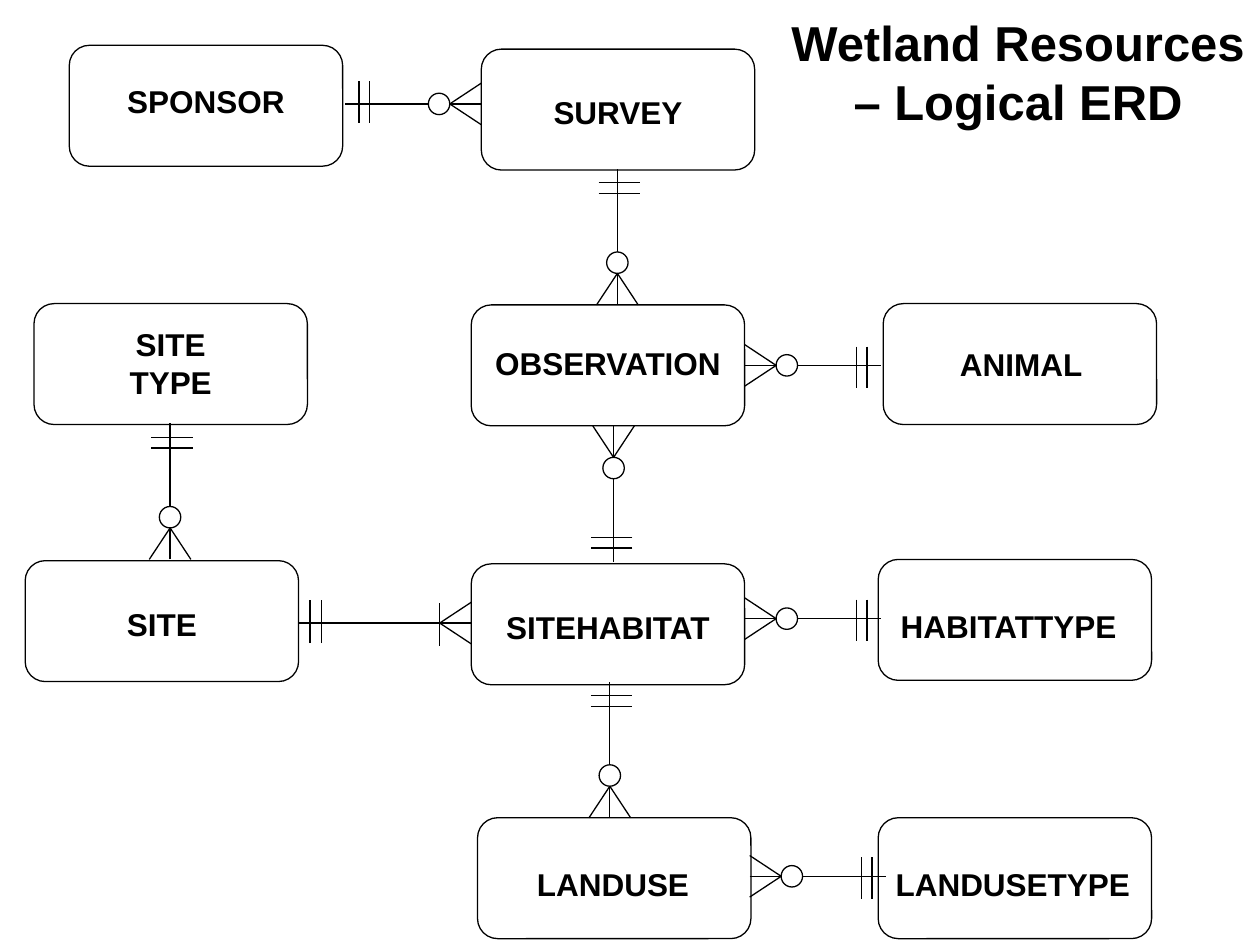
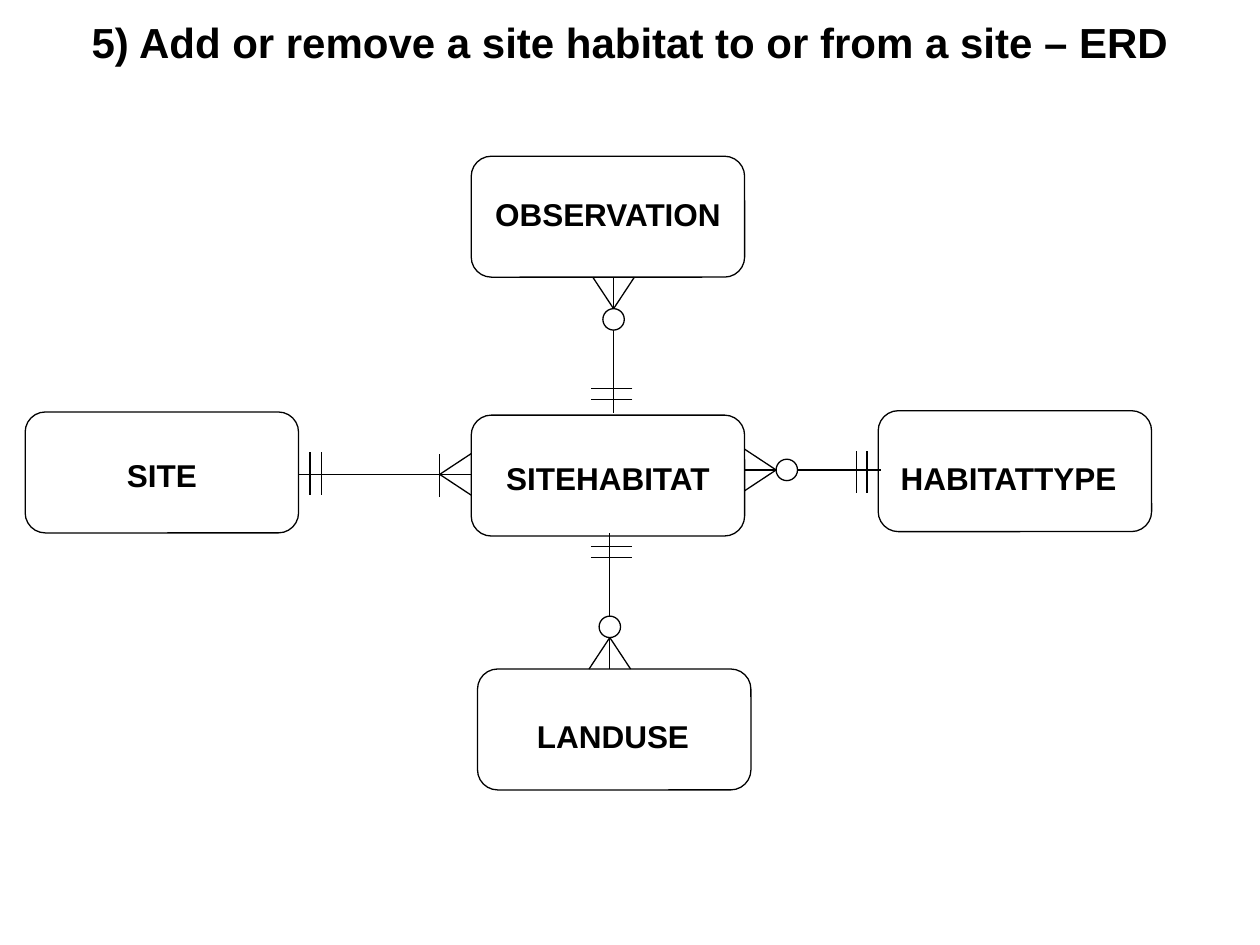
import pptx
import pptx.util
import pptx.dml.color
import pptx.enum.shapes
import pptx.enum.text
import lxml.etree
import pptx.oxml.ns

INK, PAPER = "000000", "FFFFFF"
ALIGN = pptx.enum.text.PP_ALIGN
SHAPE = pptx.enum.shapes.MSO_SHAPE
STRAIGHT = pptx.enum.shapes.MSO_CONNECTOR.STRAIGHT

deck = pptx.Presentation()
deck.slide_width = pptx.util.Inches(10)
deck.slide_height = pptx.util.Inches(7.5)
CELL = deck.slide_width / 100

ENTITY_WIDTH, ENTITY_HEIGHT, LABEL_HEIGHT = 21.7, 9.6, 4
LINE_WIDTH = pptx.util.Pt(0.75)
FRAME = {
    "auto_size": pptx.enum.text.MSO_AUTO_SIZE.SHAPE_TO_FIT_TEXT,
    "vertical_anchor": pptx.enum.text.MSO_ANCHOR.TOP,
    "margin_left": pptx.util.Inches(0.1),
    "margin_right": pptx.util.Inches(0.1),
    "margin_top": pptx.util.Inches(0.05),
    "margin_bottom": pptx.util.Inches(0.05),
}

# name: column, row, label offset across, label offset down, label width
ENTITIES = {
    "SPONSOR": (5.5, 3.6, 0, 2.4, ENTITY_WIDTH),
    "SURVEY": (38.2, 3.9, 0, 3, ENTITY_WIDTH),
    "SITE\nTYPE": (2.7, 24.1, 0, 1.2, ENTITY_WIDTH),
    "OBSERVATION": (37.4, 24.2, 0, 2.6, ENTITY_WIDTH),
    "ANIMAL": (70.1, 24.1, 0.1, 2.8, ENTITY_WIDTH),
    "SITE": (2, 44.5, 0, 3, ENTITY_WIDTH),
    "SITEHABITAT": (37.4, 44.75, 0, 3, ENTITY_WIDTH),
    "HABITATTYPE": (69.7, 44.4, 0.8, 3.3, 19.5),
    "LANDUSE": (37.9, 64.9, 0.3, 3.3, 20.9),
    "LANDUSETYPE": (69.7, 64.9, 0.4, 3.3, 20.6),
}
UNWRAPPED = {"HABITATTYPE", "LANDUSETYPE"}

LEFT, RIGHT, UP, DOWN = (-1, 0), (1, 0), (0, -1), (0, 1)
RELATIONS = [
    ("SURVEY", "SPONSOR", 38.2, 8.25, LEFT),
    ("OBSERVATION", "SURVEY", 49, 24.2, UP),
    ("OBSERVATION", "ANIMAL", 59.1, 29, RIGHT),
    ("OBSERVATION", "SITEHABITAT", 48.7, 33.8, DOWN),
    ("SITE", "SITE\nTYPE", 13.5, 44.4, UP),
    ("SITEHABITAT", "SITE", 37.4, 49.45, LEFT),
    ("SITEHABITAT", "HABITATTYPE", 59.1, 49.1, RIGHT),
    ("LANDUSE", "SITEHABITAT", 48.4, 64.9, UP),
    ("LANDUSE", "LANDUSETYPE", 59.5, 69.55, RIGHT),
]
TOES = [(0, -1.65, 2.5, 0), (0, 1.65, 2.5, 0)]
OPTIONAL_MANY = [(0, 0, 10.8, 0), *TOES, (9.7, -1.5, 9.7, 1.8), (8.85, -1.5, 8.85, 1.8)]
MANDATORY_MANY = [(0, 0, 13.7, 0), *TOES, (12.8, -1.6, 12.8, 1.8),
                  (11.9, -1.6, 11.9, 1.8), (2.5, -1.8, 2.5, 1.6)]
RING_CENTRE, RING_SIZE = 3.35, 1.7

PAGES = [
    ("Wetland Resources – Logical ERD", 28, (61.6, 0.5, 38.4, 10.4), 0, list(ENTITIES)),
    ("5) Add or remove a site habitat to or from a site – ERD", 24, (0, 0.8, 100, 5), 11.8,
     ["OBSERVATION", "SITE", "SITEHABITAT", "HABITATTYPE", "LANDUSE"]),
]


def paint(fill, colour):
    fill.solid()
    fill.fore_color.rgb = pptx.dml.color.RGBColor.from_string(colour)


def write(box, text, size, align=ALIGN.CENTER, wrap=True):
    frame = box.text_frame
    frame.text = text
    for name, value in {**FRAME, "word_wrap": wrap}.items():
        setattr(frame, name, value)
    for para in frame.paragraphs:
        para.alignment = align
        for name, value in {"name": "Arial", "size": pptx.util.Pt(size), "bold": True}.items():
            for span in para.runs:
                setattr(span.font, name, value)
        for span in para.runs:
            paint(span.font.fill, INK)


for heading, heading_size, place, rise, names in PAGES:
    page = deck.slides.add_slide(deck.slide_layouts[5])
    paint(page.background.fill, PAPER)
    title = page.shapes.title
    for side, cells in zip(("left", "top", "width", "height"), place):
        setattr(title, side, round(cells * CELL))
    write(title, heading, heading_size)

    outlines, strokes = [], []
    for name in names:
        column, row, across, down, label_width = ENTITIES[name]
        row -= rise
        outlines.append(page.shapes.add_shape(
            SHAPE.FLOWCHART_ALTERNATE_PROCESS,
            *(round(cells * CELL) for cells in (column, row, ENTITY_WIDTH, ENTITY_HEIGHT))))
        label_height = LABEL_HEIGHT + 3 * name.count("\n")
        label = page.shapes.add_textbox(
            *(round(cells * CELL) for cells in (column + across, row + down, label_width, label_height)))
        loose = name in UNWRAPPED
        write(label, name, 18, ALIGN.LEFT if loose else ALIGN.CENTER, not loose)

    for many, one, foot_x, foot_y, (dx, dy) in RELATIONS:
        if many not in names or one not in names:
            continue
        foot_y -= rise
        relation = page.shapes.add_group_shape()
        mandatory = one == "SITE"
        for along, aside, along_end, aside_end in MANDATORY_MANY if mandatory else OPTIONAL_MANY:
            ends = (foot_x + along * dx - aside * dy, foot_y + along * dy + aside * dx,
                    foot_x + along_end * dx - aside_end * dy, foot_y + along_end * dy + aside_end * dx)
            strokes.append(relation.shapes.add_connector(
                STRAIGHT, *(round(cells * CELL) for cells in ends)))
        if not mandatory:
            ring = (foot_x + RING_CENTRE * dx - RING_SIZE / 2,
                    foot_y + RING_CENTRE * dy - RING_SIZE / 2, RING_SIZE, RING_SIZE)
            outlines.append(relation.shapes.add_shape(
                SHAPE.OVAL, *(round(cells * CELL) for cells in ring)))

    for shape in outlines:
        shape.shadow.inherit = False
        paint(shape.fill, PAPER)
    for shape in outlines + strokes:
        paint(shape.line.fill, INK)
        shape.line.width = LINE_WIDTH
    for stroke in strokes:
        lxml.etree.SubElement(stroke._element.spPr, pptx.oxml.ns.qn("a:effectLst"))

deck.save("out.pptx")
